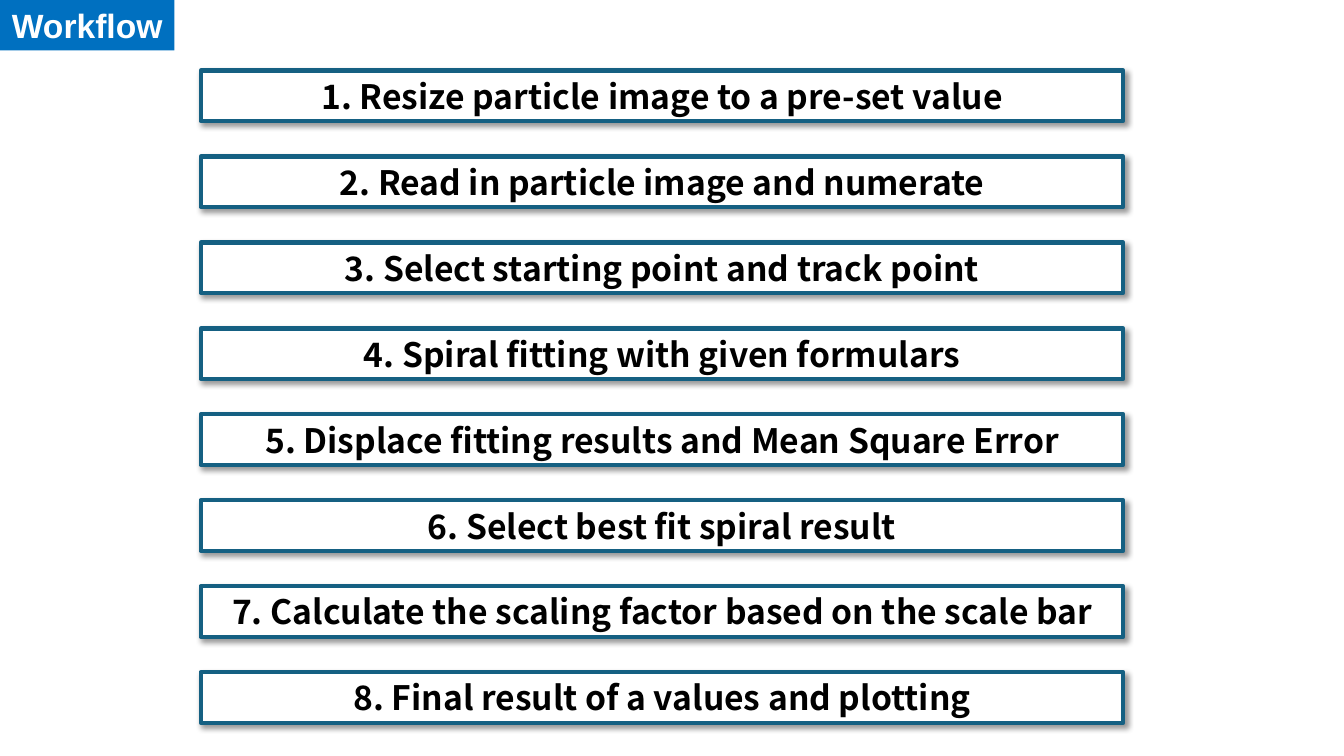
from lxml import etree
from pptx import Presentation
from pptx.dml.color import RGBColor
from pptx.enum.shapes import MSO_SHAPE as Preset
from pptx.enum.text import MSO_ANCHOR as Anchor, MSO_AUTO_SIZE as AutoSize, PP_ALIGN as Align
from pptx.oxml.ns import qn
from pptx.util import Inches, Pt

TITLE = "Workflow"
STEPS = [
    "Resize particle image to a pre-set value",
    "Read in particle image and numerate",
    "Select starting point and track point",
    "Spiral fitting with given formulars",
    "Displace fitting results and Mean Square Error",
    "Select best fit spiral result",
    "Calculate the scaling factor based on the scale bar",
    "Final result of a values and plotting",
]
STEP_LEFT, STEP_WIDTH, BOX_HEIGHT = 1.99, 9.15, 0.5
FIRST_TOP, LAST_TOP = 0.7, 6.67
TITLE_WIDTH = 1.73


def color(value):
    return RGBColor.from_string(value)


def add_box(slide, text, left, top, width, fill, font_name, font_color):
    shape = slide.shapes.add_shape(
        Preset.RECTANGLE, Inches(left), Inches(top), Inches(width), Inches(BOX_HEIGHT))
    shape.shadow.inherit = False
    shape.fill.solid()
    shape.fill.fore_color.rgb = color(fill)
    shape.line.fill.background()
    frame = shape.text_frame
    frame.word_wrap = True
    frame.auto_size = AutoSize.NONE
    frame.vertical_anchor = Anchor.MIDDLE
    paragraph = frame.paragraphs[0]
    paragraph.alignment = Align.CENTER
    run = paragraph.add_run()
    run.text = text
    run.font.name = font_name
    run.font.size = Pt(24)
    run.font.bold = True
    run.font.color.rgb = color(font_color)
    return shape


def add_shadow(shape):
    effects = shape.element.spPr.find(qn("a:effectLst"))
    shadow = etree.SubElement(
        effects, qn("a:outerShdw"), blurRad=str(Pt(4)), dist=str(Pt(3)),
        dir=str(45 * 60000), algn="tl", rotWithShape="0")
    tint = etree.SubElement(shadow, qn("a:srgbClr"), val="000000")
    etree.SubElement(tint, qn("a:alpha"), val="40000")


def main():
    presentation = Presentation()
    presentation.slide_width = Inches(13.33)
    presentation.slide_height = Inches(7.5)
    slide = presentation.slides.add_slide(presentation.slide_layouts[6])

    pitch = (LAST_TOP - FIRST_TOP) / (len(STEPS) - 1)
    for index, step in enumerate(STEPS):
        box = add_box(slide, f"{index + 1}. {step}", STEP_LEFT, FIRST_TOP + index * pitch,
                      STEP_WIDTH, "FFFFFF", "Noto Sans CJK SC", "000000")
        box.line.color.rgb = color("156082")
        box.line.width = Pt(3)
        add_shadow(box)

    title = add_box(slide, TITLE, 0, 0, TITLE_WIDTH, "0070C0", "Arial", "FFFFFF")
    title.text_frame.word_wrap = False
    title.text_frame.auto_size = AutoSize.SHAPE_TO_FIT_TEXT
    title.text_frame.vertical_anchor = Anchor.TOP

    presentation.save("out.pptx")


if __name__ == "__main__":
    main()
